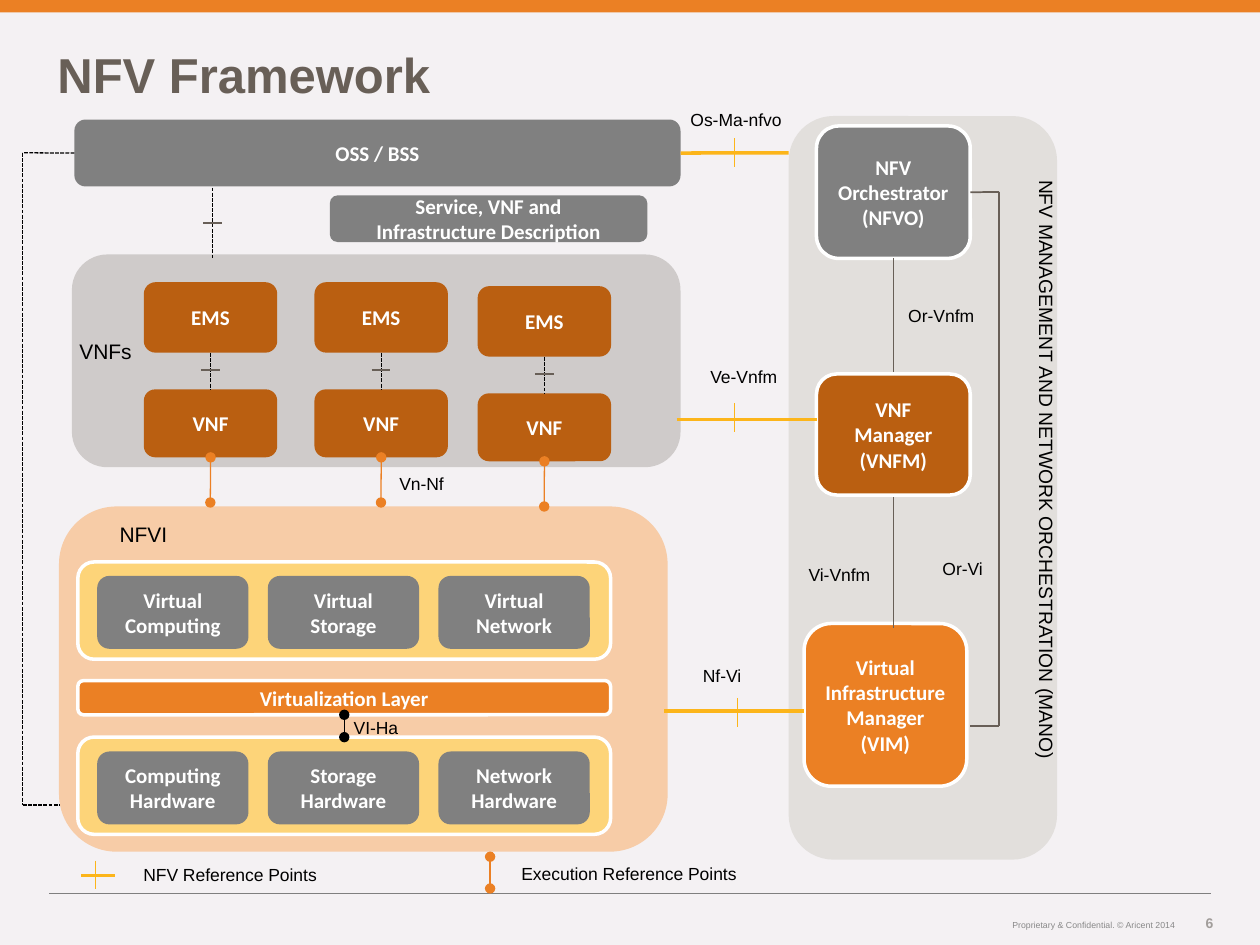
from lxml.etree import SubElement
from pptx import Presentation
from pptx.dml.color import RGBColor
from pptx.enum.dml import MSO_LINE
from pptx.enum.shapes import MSO_CONNECTOR, MSO_SHAPE
from pptx.enum.text import MSO_ANCHOR, PP_ALIGN
from pptx.oxml.ns import qn
from pptx.util import Cm, Pt

COLORS = {
    "background": "F4F1F3", "orange": "EB8024", "rust": "BA5F11",
    "gray": "808080", "brown": "685F57", "yellow": "FCB51A",
    "sand": "FDD479", "peach": "F7CCA7", "silver": "CFCBCA",
    "stone": "E2DFDC", "white": "FFFFFF", "black": "000000",
    "rule": "7F7F7F", "footer": "888888", "number": "A19D9A",
}
COLORS = {name: RGBColor.from_string(value) for name, value in COLORS.items()}
BOX_FONT = {"name": "Calibri", "size": Pt(12), "bold": True}

deck = Presentation()
deck.slide_width, deck.slide_height = Cm(25.4), Cm(19.05)
page = deck.slides.add_slide(deck.slide_layouts[6])
page.background.fill.solid()
page.background.fill.fore_color.rgb = COLORS["background"]


def add_box(left, top, width, height, fill, text="", outlined=False,
            preset=MSO_SHAPE.ROUNDED_RECTANGLE):
    box = page.shapes.add_shape(preset, Cm(left), Cm(top), Cm(width), Cm(height))
    box.shadow.inherit = False
    box.fill.solid()
    box.fill.fore_color.rgb = COLORS[fill]
    if outlined:
        box.line.color.rgb = COLORS["white"]
        box.line.width = Pt(2)
    else:
        box.line.fill.background()
    frame = box.text_frame
    frame.vertical_anchor = MSO_ANCHOR.MIDDLE
    frame.text = text
    for para in frame.paragraphs:
        para.alignment = PP_ALIGN.CENTER
        para.font.color.rgb = COLORS["white"]
        for name, value in BOX_FONT.items():
            setattr(para.font, name, value)
    return box


def add_line(start, end, color, width=0.75, dashed=False, dots=False):
    """Each end is an (x, y) pair in cm or a (box, side) pair to join."""
    points = [(0, 0) if hasattr(spot[0], "shape_id") else spot for spot in (start, end)]
    line = page.shapes.add_connector(
        MSO_CONNECTOR.STRAIGHT, *[Cm(value) for point in points for value in point])
    for spot, join in ((start, line.begin_connect), (end, line.end_connect)):
        if hasattr(spot[0], "shape_id"):
            join(*spot)
    line.line.color.rgb = COLORS[color]
    line.line.width = Pt(width)
    if dashed:
        line.line.dash_style = MSO_LINE.SQUARE_DOT
    if dots:
        stroke = line.line._get_or_add_ln()
        for tag in ("a:headEnd", "a:tailEnd"):
            SubElement(stroke, qn(tag), type="oval")
    SubElement(line._element.spPr, qn("a:effectLst"))


# Page furniture
add_box(0, 0, 25.4, 0.25, "orange", preset=MSO_SHAPE.RECTANGLE)
add_line((0.99, 18.01), (24.41, 18.01), "rule", 0.25)

# Containers and single blocks
add_box(1.45, 5.13, 12.27, 4.29, "silver")
add_box(1.19, 10.21, 12.27, 6.96, "peach")
hardware_panel = add_box(1.57, 14.86, 10.74, 1.96, "sand", outlined=True)
add_box(1.57, 11.33, 10.74, 1.96, "sand", outlined=True)
layer = add_box(1.57, 13.72, 10.74, 0.69, "orange", "Virtualization Layer", True)
add_box(15.9, 2.34, 5.41, 14.99, "stone")
oss = add_box(1.5, 2.41, 12.22, 1.35, "gray", "OSS / BSS")
add_box(6.65, 3.94, 6.4, 0.94, "gray", "Service, VNF and\nInfrastructure Description")

# Management and orchestration column
nfvo = add_box(16.46, 2.54, 3.1, 2.67, "gray", "NFV Orchestrator (NFVO)", True)
add_box(16.21, 12.57, 3.28, 3.28, "orange", "Virtual Infrastructure Manager (VIM)", True)
add_line((nfvo, 2), (18.01, 12.65), "brown", 1)
add_box(16.46, 7.54, 3.1, 2.44, "rust", "VNF Manager (VNFM)", True)
add_line((nfvo, 3), (20.14, 3.87), "brown", 1)
add_line((20.14, 3.87), (20.14, 14.63), "brown", 1)
add_line((19.56, 14.63), (20.14, 14.63), "brown", 1)

# Infrastructure resources
for top, names in (
    (11.61, ("Virtual Computing", "Virtual Storage", "Virtual Network")),
    (15.15, ("Computing Hardware", "Storage Hardware", "Network Hardware")),
):
    for column, name in enumerate(names):
        add_box(1.96 + 3.44 * column, top, 3.05, 1.47, "gray", name)
add_line((layer, 2), (hardware_panel, 0), "black", dots=True)

# Network functions, each with its element manager
for left, drop in ((2.9, 0), (6.34, 0), (9.63, 0.08)):
    middle = left + 1.34
    ems = add_box(left, 5.69 + drop, 2.69, 1.42, "rust", "EMS")
    vnf = add_box(left, 7.85 + drop, 2.69, 1.37, "rust", "VNF")
    add_line((ems, 2), (vnf, 0), "black", dashed=True)
    add_line((middle - 0.19, 7.46 + drop), (middle + 0.19, 7.46 + drop), "brown", 1)
    add_line((vnf, 2), (middle, 10.13 + drop), "orange", dots=True)

# Links from OSS / BSS
add_line((4.29, 3.78), (4.29, 5.23), "black", dashed=True)
add_line((4.1, 4.5), (4.48, 4.5), "brown", 1)
route = [(oss, 1), (0.46, 3.08), (0.46, 16.23), (1.19, 16.23)]
for start, end in zip(route, route[1:]):
    add_line(start, end, "black", dashed=True)

# NFV reference points with their cross ticks, then the legend marks
for start, end, tick_x, tick_top in (
    ((oss, 3), (15.9, 3.08), 14.81, 2.79),
    ((13.64, 8.46), (16.46, 8.46), 14.81, 8.13),
    ((13.39, 14.33), (16.21, 14.33), 14.86, 14.07),
    ((1.63, 17.65), (2.31, 17.65), 1.93, 17.35),
):
    add_line(start, end, "yellow", 2)
    add_line((tick_x, tick_top), (tick_x, tick_top + 0.58), "yellow")
add_line((9.88, 17.27), (9.88, 17.91), "orange", dots=True)

# Labels: text, left, top, width, height, size
for text, left, top, width, height, size in (
    ("NFVI", 2.16, 10.39, 1.5, 0.76, 12),
    ("VNFs", 1.35, 6.71, 1.57, 0.76, 12),
    ("VI-Ha", 6.88, 14.33, 1.42, 0.69, 10),
    ("Vn-Nf", 7.8, 9.42, 1.42, 0.69, 10),
    ("Os-Ma-nfvo", 13.67, 2.08, 2.36, 0.69, 10),
    ("Ve-Vnfm", 14.07, 7.26, 1.9, 0.69, 10),
    ("Nf-Vi", 13.92, 13.28, 1.3, 0.69, 10),
    ("Or-Vi", 18.75, 11.13, 1.35, 0.69, 10),
    ("Or-Vnfm", 18.06, 6.02, 1.85, 0.69, 10),
    ("Vi-Vnfm", 16.05, 11.25, 1.78, 0.69, 10),
    ("NFV Reference Points", 2.64, 17.3, 6.2, 0.69, 10),
    ("Execution Reference Points", 10.26, 17.27, 6.2, 0.69, 10),
    ("NFV MANAGEMENT AND NETWORK ORCHESTRATION (MANO)", 20.47, 3.38, 0.99, 12.07, 11),
    ("NFV Framework", 0.91, 0.91, 22.86, 1.5, 28),
):
    box = page.shapes.add_textbox(Cm(left), Cm(top), Cm(width), Cm(height))
    frame = box.text_frame
    frame.word_wrap = width > 4
    if height > width:
        frame._txBody.bodyPr.set("vert", "vert")
    para = frame.paragraphs[0]
    span = para.add_run()
    span.text = text
    is_title = size == 28
    if is_title:
        para.line_spacing = 0.9
    for name, value in {"name": "Arial", "size": Pt(size), "bold": is_title}.items():
        setattr(span.font, name, value)
    span.font.color.rgb = COLORS["brown" if is_title else "black"]

# Footer
for text, left, top, width, height, size, color in (
    ("Proprietary & Confidential. © Aricent 2014", 12.85, 18.47, 10.85, 0.36, 5, "footer"),
    ("6", 24.1, 18.39, 0.36, 0.43, 8, "number"),
):
    box = page.shapes.add_textbox(Cm(left), Cm(top), Cm(width), Cm(height))
    frame = box.text_frame
    for name, value in {
        "margin_left": 0, "margin_right": 0, "margin_top": 0, "margin_bottom": 0,
        "word_wrap": True, "vertical_anchor": MSO_ANCHOR.MIDDLE,
    }.items():
        setattr(frame, name, value)
    para = frame.paragraphs[0]
    para.alignment = PP_ALIGN.RIGHT
    span = para.add_run()
    span.text = text
    for name, value in {"name": "Arial", "size": Pt(size), "bold": size == 8}.items():
        setattr(span.font, name, value)
    span.font.color.rgb = COLORS[color]

deck.save("out.pptx")
